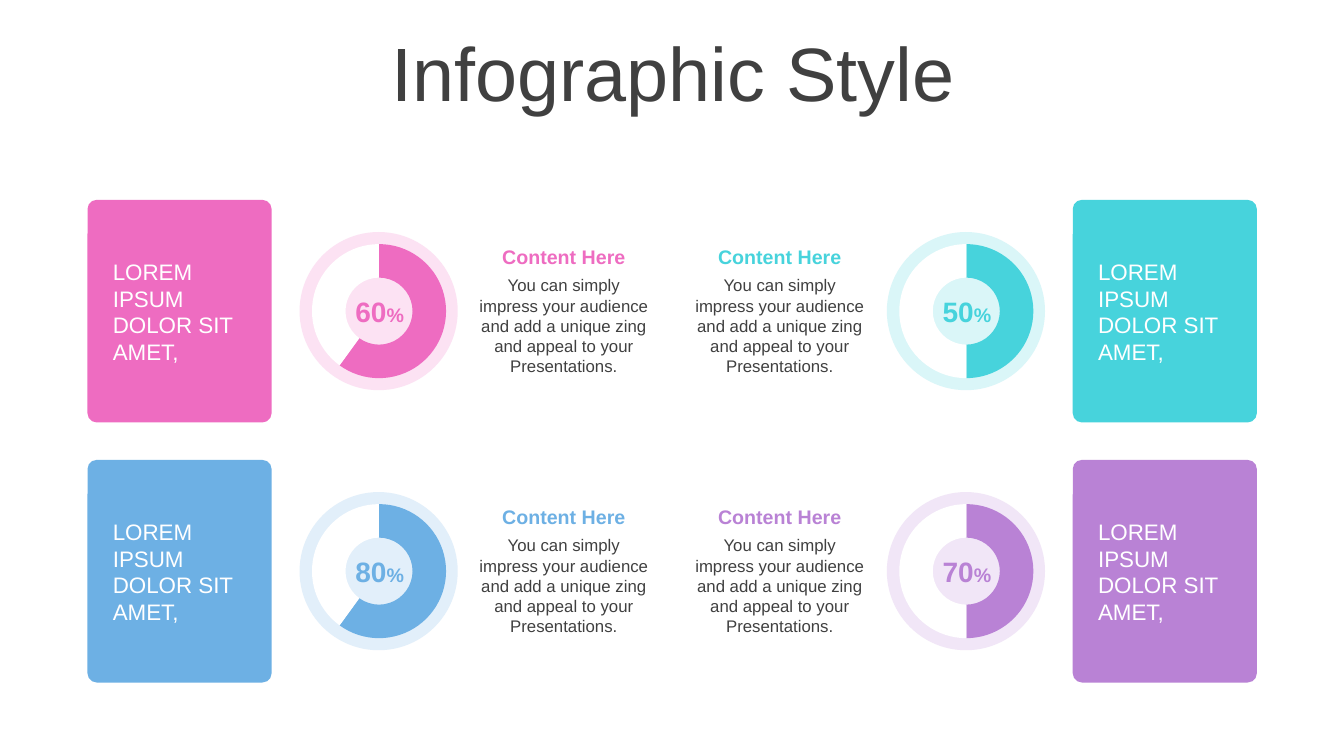
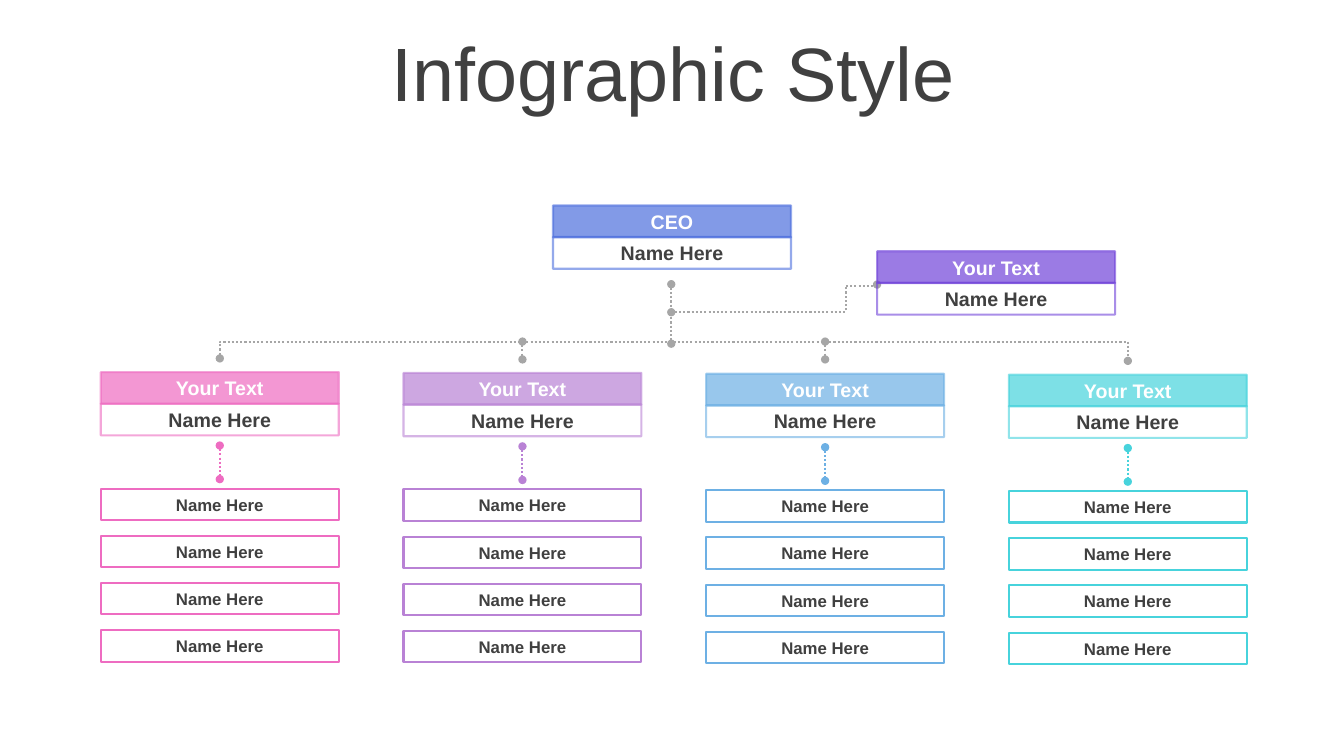
from dataclasses import dataclass

import lxml.etree
import pptx
import pptx.chart.data
import pptx.dml.color
import pptx.enum.chart
import pptx.enum.dml
import pptx.enum.shapes
import pptx.enum.text
import pptx.oxml.ns
import pptx.util

Pt = pptx.util.Pt
RGB = pptx.dml.color.RGBColor
qn = pptx.oxml.ns.qn
SHAPES = pptx.enum.shapes.MSO_SHAPE
ALIGN = pptx.enum.text.PP_ALIGN
ANCHOR = pptx.enum.text.MSO_ANCHOR

# Shared style
FONT = "Arial"
TITLE = "Infographic Style"
WHITE = RGB(0xFF, 0xFF, 0xFF)
INK = RGB(0x40, 0x40, 0x40)
GREY = RGB(0xA6, 0xA6, 0xA6)
PINK = RGB(0xEE, 0x6C, 0xC1)
BLUE = RGB(0x6D, 0xB0, 0xE4)
TEAL = RGB(0x47, 0xD3, 0xDC)
PURPLE = RGB(0xB9, 0x82, 0xD5)
INDIGO = RGB(0x4E, 0x70, 0xDE)
VIOLET = RGB(0x71, 0x43, 0xD9)
PALE_PINK = RGB(0xFC, 0xE2, 0xF3)
PALE_BLUE = RGB(0xE2, 0xEF, 0xFA)
PALE_TEAL = RGB(0xDA, 0xF6, 0xF8)
PALE_PURPLE = RGB(0xF1, 0xE6, 0xF7)


@dataclass(frozen=True)
class Box:
    left: float
    top: float
    width: float
    height: float

    def lengths(self) -> tuple:
        return Pt(self.left), Pt(self.top), Pt(self.width), Pt(self.height)


@dataclass(frozen=True)
class TextRun:
    text: str
    size: float
    color: RGB
    bold: bool = False


@dataclass(frozen=True)
class Metric:
    column: int
    row: int
    color: RGB
    pale: RGB
    percent: str
    share: int


METRICS = [
    Metric(0, 0, PINK, PALE_PINK, "60", 60),
    Metric(0, 1, BLUE, PALE_BLUE, "80", 60),
    Metric(1, 0, TEAL, PALE_TEAL, "50", 50),
    Metric(1, 1, PURPLE, PALE_PURPLE, "70", 50),
]
ROW_PITCH = 185.75
CARD_LEFTS = (62.5, 766.25)
RING_LEFTS = (214, 633.5)
CONTENT_LEFTS = (334, 488.25)

TEAM_COLORS = (PINK, PURPLE, BLUE, TEAL)
ROLE_WIDTH, ROLE_HEIGHT, ROLE_STEP = 170, 22.75, 22.5
TEAM_LEFT, TEAM_PITCH, TEAM_DROP = 72, 216.2, 0.6
MEMBER_COUNT, MEMBER_PITCH = 4, 33.7
STEM_X, TRUNK_Y = 479.5, 244


# Text
def write(frame, paragraphs: list[list[TextRun]], align=ALIGN.CENTER,
          anchor=ANCHOR.MIDDLE) -> None:
    frame.word_wrap = True
    frame.vertical_anchor = anchor
    for index, runs in enumerate(paragraphs):
        paragraph = frame.paragraphs[0] if index == 0 else frame.add_paragraph()
        paragraph.alignment = align
        for item in runs:
            run = paragraph.add_run()
            run.text = item.text
            run.font.name = FONT
            run.font.size = Pt(item.size)
            run.font.bold = item.bold
            run.font.color.rgb = item.color


def add_text(slide, box: Box, paragraphs: list[list[TextRun]], **layout) -> None:
    write(slide.shapes.add_textbox(*box.lengths()).text_frame, paragraphs, **layout)


def add_titled_slide(deck):
    slide = deck.slides.add_slide(deck.slide_layouts[5])
    title = slide.shapes.title
    title.left, title.top, title.width, title.height = Box(25, 26.5, 911.5, 57).lengths()
    title.text_frame.auto_size = pptx.enum.text.MSO_AUTO_SIZE.NONE
    write(title.text_frame, [[TextRun(TITLE, 54, INK)]])
    title.text_frame.paragraphs[0].line_spacing = 0.9
    return slide


# Shapes and lines
def add_filled(slide, kind, box: Box, color: RGB):
    shape = slide.shapes.add_shape(kind, *box.lengths())
    shape.shadow.inherit = False
    shape.fill.solid()
    shape.fill.fore_color.rgb = color
    shape.line.fill.background()
    return shape


def set_opacity(shape, parent: str, percent: int) -> None:
    color = shape.element.spPr.find(f"{parent}/{qn('a:solidFill')}/{qn('a:srgbClr')}")
    lxml.etree.SubElement(color, qn("a:alpha"), val=str(percent * 1000))


def add_label_box(slide, box: Box, label: TextRun, color: RGB,
                  filled: bool = False, line_opacity: int = 100) -> None:
    shape = add_filled(slide, SHAPES.RECTANGLE, box, color)
    if filled:
        set_opacity(shape, ".", 70)
    else:
        shape.fill.background()
    shape.line.color.rgb = color
    shape.line.width = Pt(1.5)
    if line_opacity < 100:
        set_opacity(shape, qn("a:ln"), line_opacity)
    frame = shape.text_frame
    frame.margin_top = frame.margin_bottom = 0
    write(frame, [[label]])


def style_dotted(line_shape, color: RGB) -> None:
    line_shape.line.color.rgb = color
    line_shape.line.width = Pt(1.5)
    line_shape.line.dash_style = pptx.enum.dml.MSO_LINE.ROUND_DOT
    properties = line_shape.element.spPr
    for end in ("a:headEnd", "a:tailEnd"):
        lxml.etree.SubElement(properties.find(qn("a:ln")), qn(end), type="oval")
    if properties.find(qn("a:effectLst")) is None:
        lxml.etree.SubElement(properties, qn("a:effectLst"))


def add_vertical(slide, x: float, top: float, bottom: float, color: RGB) -> None:
    link = slide.shapes.add_connector(
        pptx.enum.shapes.MSO_CONNECTOR.STRAIGHT, Pt(x), Pt(top), Pt(x), Pt(bottom))
    style_dotted(link, color)


def add_route(slide, points: list[tuple[float, float]], color: RGB) -> None:
    start, *rest = [(Pt(x), Pt(y)) for x, y in points]
    builder = slide.shapes.build_freeform(*start)
    builder.add_line_segments(rest, close=False)
    route = builder.convert_to_shape()
    route.shadow.inherit = False
    route.fill.background()
    style_dotted(route, color)


# Doughnut chart
def add_doughnut(slide, box: Box, share: int, color: RGB) -> None:
    data = pptx.chart.data.CategoryChartData()
    data.categories = ["1", "2"]
    data.add_series("Series 1", (share, 100 - share))
    chart = slide.shapes.add_chart(
        pptx.enum.chart.XL_CHART_TYPE.DOUGHNUT, *box.lengths(), data).chart
    chart.has_legend = False
    chart.has_title = False
    chart.font.name = FONT
    chart.font.size = Pt(18)
    chart.font.color.rgb = RGB(0, 0, 0)
    plot = chart.plots[0]
    plot.vary_by_categories = True
    for index, slice_color in enumerate((color, WHITE)):
        part = plot.series[0].points[index].format
        part.fill.solid()
        part.fill.fore_color.rgb = slice_color
        part.line.fill.background()

    # Hole, plot position and clear backgrounds
    space = chart.element
    space.find(f".//{qn('c:holeSize')}").set("val", "65")
    area = space.find(f".//{qn('c:plotArea')}")
    layout = area.find(qn("c:layout"))
    if layout is None:
        layout = lxml.etree.Element(qn("c:layout"))
        area.insert(0, layout)
    manual = lxml.etree.SubElement(layout, qn("c:manualLayout"))
    for name, value in (("layoutTarget", "inner"), ("xMode", "edge"), ("yMode", "edge"),
                        ("x", "0.04"), ("y", "0.02"), ("w", "0.93"), ("h", "1")):
        lxml.etree.SubElement(manual, qn(f"c:{name}"), val=value)
    area_look = lxml.etree.SubElement(area, qn("c:spPr"))
    space_look = lxml.etree.Element(qn("c:spPr"))
    space.find(qn("c:chart")).addnext(space_look)
    for look in (area_look, space_look):
        lxml.etree.SubElement(look, qn("a:noFill"))
        border = lxml.etree.SubElement(look, qn("a:ln"))
        lxml.etree.SubElement(border, qn("a:noFill"))


# Slide 1: four metrics
def add_metric(slide, metric: Metric) -> None:
    drop = metric.row * ROW_PITCH
    card_left = CARD_LEFTS[metric.column]
    ring_left = RING_LEFTS[metric.column]
    content_left = CONTENT_LEFTS[metric.column]

    add_filled(slide, SHAPES.OVAL, Box(ring_left, 165.75 + drop, 113, 113), metric.pale)
    add_doughnut(slide, Box(ring_left + 4.75, 172.25 + drop, 103, 100),
                 metric.share, metric.color)
    add_text(slide, Box(ring_left + 27, 204 + drop, 60.5, 36.5),
             [[TextRun(metric.percent, 20, metric.color, True),
               TextRun("%", 14, metric.color, True)]])

    card = add_filled(slide, SHAPES.ROUNDED_RECTANGLE,
                      Box(card_left, 142.75 + drop, 131.5, 159), metric.color)
    card.adjustments[0] = 0.05
    add_text(slide, Box(card_left + 11, 180 + drop, 109.5, 85),
             [[TextRun("LOREM IPSUM", 16, WHITE)], [TextRun("DOLOR SIT AMET,", 16, WHITE)]],
             align=ALIGN.LEFT)

    add_text(slide, Box(content_left, 171.5 + drop, 137.5, 24.25),
             [[TextRun("Content Here", 14, metric.color, True)]])
    add_text(slide, Box(content_left, 193 + drop, 137.5, 80),
             [[TextRun("You can simply impress your audience and add a unique zing "
                       "and appeal to your Presentations.", 12, INK)]],
             anchor=ANCHOR.TOP)


# Slide 2: organisation chart
def add_role(slide, left: float, top: float, role: str, color: RGB) -> None:
    add_label_box(slide, Box(left, top, ROLE_WIDTH, ROLE_HEIGHT),
                  TextRun(role, 14, WHITE, True), color, filled=True, line_opacity=60)
    add_label_box(slide, Box(left, top + ROLE_STEP, ROLE_WIDTH, ROLE_HEIGHT),
                  TextRun("Name Here", 14, INK, True), color, line_opacity=60)


def add_team(slide, index: int, color: RGB) -> None:
    left = TEAM_LEFT + index * TEAM_PITCH
    drop = index * TEAM_DROP
    add_role(slide, left, 265.75 + drop, "Your Text", color)
    add_vertical(slide, left + ROLE_WIDTH / 2, 318.25 + drop, 342.25 + drop, color)
    for member in range(MEMBER_COUNT):
        top = 349 + drop + member * MEMBER_PITCH
        add_label_box(slide, Box(left, top, ROLE_WIDTH, 22.5),
                      TextRun("Name Here", 12, INK, True), color)


def add_reporting_lines(slide) -> None:
    first, second, third, last = (
        TEAM_LEFT + index * TEAM_PITCH + ROLE_WIDTH / 2 for index in range(4))
    add_route(slide, [(first, 256), (first, TRUNK_Y), (last, TRUNK_Y), (last, 257.75)], GREY)
    add_vertical(slide, STEM_X, 203, 245.5, GREY)
    for center in (second, third):
        add_vertical(slide, center, TRUNK_Y, 256.75, GREY)
    add_route(slide, [(STEM_X, 223), (604, 223), (604, 204), (626.5, 204),
                      (626.5, 203.25)], GREY)


def main() -> None:
    deck = pptx.Presentation()
    deck.slide_width, deck.slide_height = Pt(960), Pt(540)

    metrics_slide = add_titled_slide(deck)
    for metric in METRICS:
        add_metric(metrics_slide, metric)

    chart_slide = add_titled_slide(deck)
    add_reporting_lines(chart_slide)
    for index, color in enumerate(TEAM_COLORS):
        add_team(chart_slide, index, color)
    add_role(chart_slide, 395, 146.75, "CEO", INDIGO)
    add_role(chart_slide, 626.5, 179.5, "Your Text", VIOLET)

    deck.save("out.pptx")


if __name__ == "__main__":
    main()
